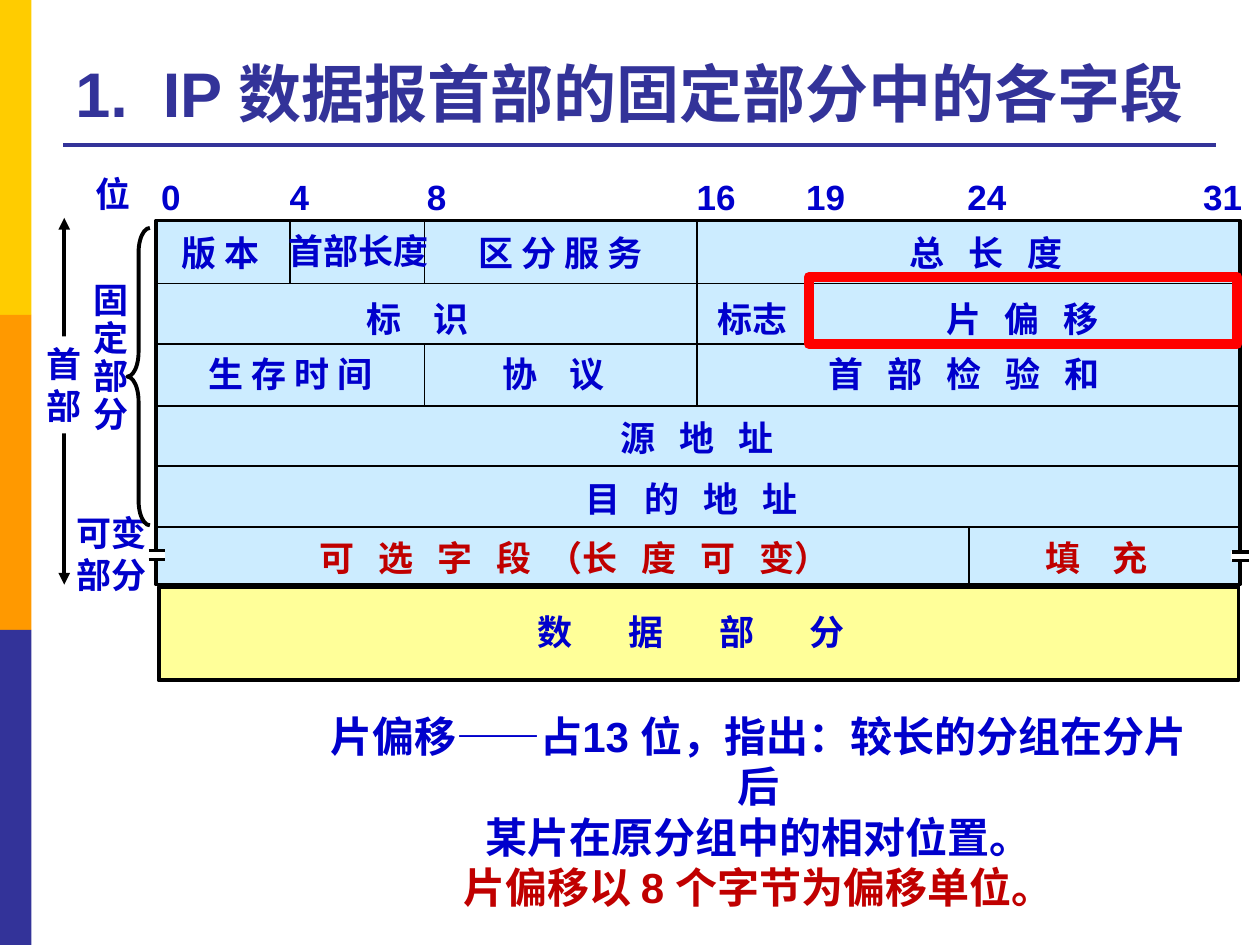
from lxml.etree import SubElement
from pptx import Presentation
from pptx.dml.color import RGBColor
from pptx.enum.shapes import MSO_CONNECTOR, MSO_SHAPE
from pptx.enum.text import MSO_ANCHOR, MSO_AUTO_SIZE, PP_ALIGN
from pptx.oxml.ns import qn
from pptx.util import Emu, Pt

SCALE = 9144  # EMU per px, 100 px to the inch
BLUE, RED, NAVY, BLACK, WHITE = "0000CC", "C00000", "333399", "000000", "FFFFFF"
LABEL_HEIGHT = 43


def px(length):
    return Emu(length * SCALE)


def color(value):
    return RGBColor.from_string(value)


def apply(target, **values):
    for name, value in values.items():
        setattr(target, name, value)


def add_block(slide, box, fill=None, line=None, weight=1, preset=MSO_SHAPE.RECTANGLE):
    shape = slide.shapes.add_shape(preset, *map(px, box))
    shape.shadow.inherit = False
    if fill:
        shape.fill.solid()
        shape.fill.fore_color.rgb = color(fill)
    else:
        shape.fill.background()
    if line:
        shape.line.color.rgb = color(line)
        shape.line.width = Pt(weight)
    else:
        shape.line.fill.background()
    return shape


def add_line(slide, start, end, line=BLACK, weight=1, arrows=False):
    connector = slide.shapes.add_connector(
        MSO_CONNECTOR.STRAIGHT, *map(px, start + end))
    connector.line.color.rgb = color(line)
    connector.line.width = Pt(weight)
    if arrows:
        outline = connector.line._get_or_add_ln()
        for end_tag in ("a:headEnd", "a:tailEnd"):
            SubElement(outline, qn(end_tag), type="triangle")
    SubElement(connector._element.spPr, qn("a:effectLst"))
    return connector


def write(shape, lines, size=20, wrap=False, align=PP_ALIGN.LEFT,
          spacing=None, **frame_format):
    """Fill a shape with (text, color) lines, one paragraph each."""
    frame = shape.text_frame
    apply(frame, word_wrap=wrap, vertical_anchor=MSO_ANCHOR.TOP)
    apply(frame, **frame_format)
    for index, (text, ink) in enumerate(lines):
        paragraph = frame.add_paragraph() if index else frame.paragraphs[0]
        apply(paragraph, alignment=align, line_spacing=spacing)
        run = paragraph.add_run()
        run.text = text
        apply(run.font, name="Arial", size=Pt(size), bold=True)
        run.font.color.rgb = color(ink)


def add_text(slide, box, lines, **text_format):
    shape = slide.shapes.add_textbox(*map(px, box))
    write(shape, lines, **text_format)
    return shape


def add_side_bar(slide, left, top, width, height):
    band = height // 3
    for index, fill in enumerate(("FFCC00", "FF9900", NAVY)):
        add_block(slide, (left, top + index * band, width, band), fill)


def add_title(slide, left, top, width, height):
    add_text(slide, (left, top, width, height),
             [("1.  IP 数据报首部的固定部分中的各字段", NAVY)],
             size=36, wrap=True, vertical_anchor=MSO_ANCHOR.BOTTOM)
    rule = top + height + 7
    add_line(slide, (left, rule), (left + width, rule), NAVY, 2.25)


def add_bit_scale(slide, left, top):
    add_text(slide, (left, top - 2, 48, LABEL_HEIGHT), [("位", BLUE)])
    offsets = {"0": 52, "4": 154, "8": 263, "16": 477, "19": 564, "24": 692, "31": 879}
    for bit, offset in offsets.items():
        width = 36 if len(bit) == 1 else 51
        add_text(slide, (left + offset, top, width, LABEL_HEIGHT), [(bit, BLUE)])


def add_break_mark(slide, left, top):
    add_block(slide, (left, top, 14, 8), WHITE)
    for offset in (1, 8):
        add_line(slide, (left + 1, top + offset), (left + 14, top + offset), weight=2)


def add_header_table(slide, left, top, width, height):
    add_block(slide, (left, top, width, height), "CCECFF", BLACK, 2)
    # Row rules, then column rules as (x, first row edge, last row edge)
    edges = [0, 50, 98, 147, 195, 243, height + 2]
    for edge in edges[1:-1]:
        add_line(slide, (left, top + edge), (left + width + 1, top + edge))
    for x, first, last in [(106, 0, 1), (213, 0, 1), (213, 2, 3),
                           (429, 0, 3), (517, 1, 2), (645, 5, 6)]:
        add_line(slide, (left + x, top + edges[first]), (left + x, top + edges[last]))
    # Field names by row: label top, color, (text, x, width)
    rows = [
        (4, BLUE, [("版 本", 10, 84), ("区 分 服 务", 246, 156), ("总   长   度", 588, 151)]),
        (2, BLUE, [("首部长度", 95, 133)]),
        (56, BLUE, [("标    识", 157, 107), ("标志", 436, 76), ("片   偏   移", 617, 151)]),
        (100, BLUE, [("生 存 时 间", 32, 156), ("协    议", 265, 107),
                     ("首   部   检   验   和", 524, 254)]),
        (151, BLUE, [("源   地   址", 359, 151)]),
        (199, BLUE, [("目   的   地   址", 331, 202)]),
        (246, RED, [("可   选   字   段  （长   度   可   变）", 120, 456), ("填    充", 696, 107)]),
    ]
    for row_top, ink, fields in rows:
        for text, x, label_width in fields:
            add_text(slide, (left + x, top + row_top, label_width, LABEL_HEIGHT),
                     [(text, ink)])
    add_break_mark(slide, left - 7, top + 261)
    add_break_mark(slide, left + width - 7, top + 262)


def add_data_part(slide, left, top, width, height):
    add_block(slide, (left, top, width, height), "FFFF99", BLACK, 2.25)
    add_text(slide, (left + 291, top + 14, 318, LABEL_HEIGHT),
             [("数       据       部       分", BLUE)], wrap=True)


def add_part_labels(slide, left, top, height):
    # Extent of the whole header
    add_line(slide, (left + 24, top), (left + 24, top + height),
             weight=2.25, arrows=True)
    header = add_block(slide, (left, top + 94, 48, 77), WHITE)
    write(header, [(text, BLUE) for text in "首部"])
    # Fixed and variable parts
    add_text(slide, (left + 37, top + 47, 48, 131),
             [(text, BLUE) for text in "固定部分"], spacing=0.9)
    add_text(slide, (left + 24, top + 228, 76, 77), [("可变", BLUE), ("部分", BLUE)])
    brace = add_block(slide, (left + 74, top + 8, 18, 236), None, BLACK, 2.25,
                      MSO_SHAPE.LEFT_BRACE)
    brace.adjustments[0] = 1.08
    brace.adjustments[1] = 0.5


def add_explanation(slide, left, top, width, height):
    lines = [("片偏移——占13 位，指出：较长的分组在分片后", BLUE),
             ("某片在原分组中的相对位置。", BLUE),
             ("片偏移以 8 个字节为偏移单位。", RED)]
    add_text(slide, (left, top, width, height), lines, size=24, wrap=True,
             align=PP_ALIGN.CENTER, auto_size=MSO_AUTO_SIZE.NONE,
             margin_left=px(5), margin_right=px(32))


def main():
    presentation = Presentation()
    apply(presentation, slide_width=px(1000), slide_height=px(750))
    slide = presentation.slides.add_slide(presentation.slide_layouts[6])
    add_side_bar(slide, 0, 0, 25, 750)
    add_title(slide, 50, 21, 915, 87)
    add_header_table(slide, 124, 175, 860, 289)
    add_bit_scale(slide, 66, 134)
    add_data_part(slide, 126, 466, 857, 74)
    add_part_labels(slide, 27, 173, 291)
    add_explanation(slide, 244, 559, 743, 131)
    # Frame around the fragment offset field
    add_block(slide, (642, 220, 340, 53), None, "FF0000", 6)
    presentation.save("out.pptx")


if __name__ == "__main__":
    main()
